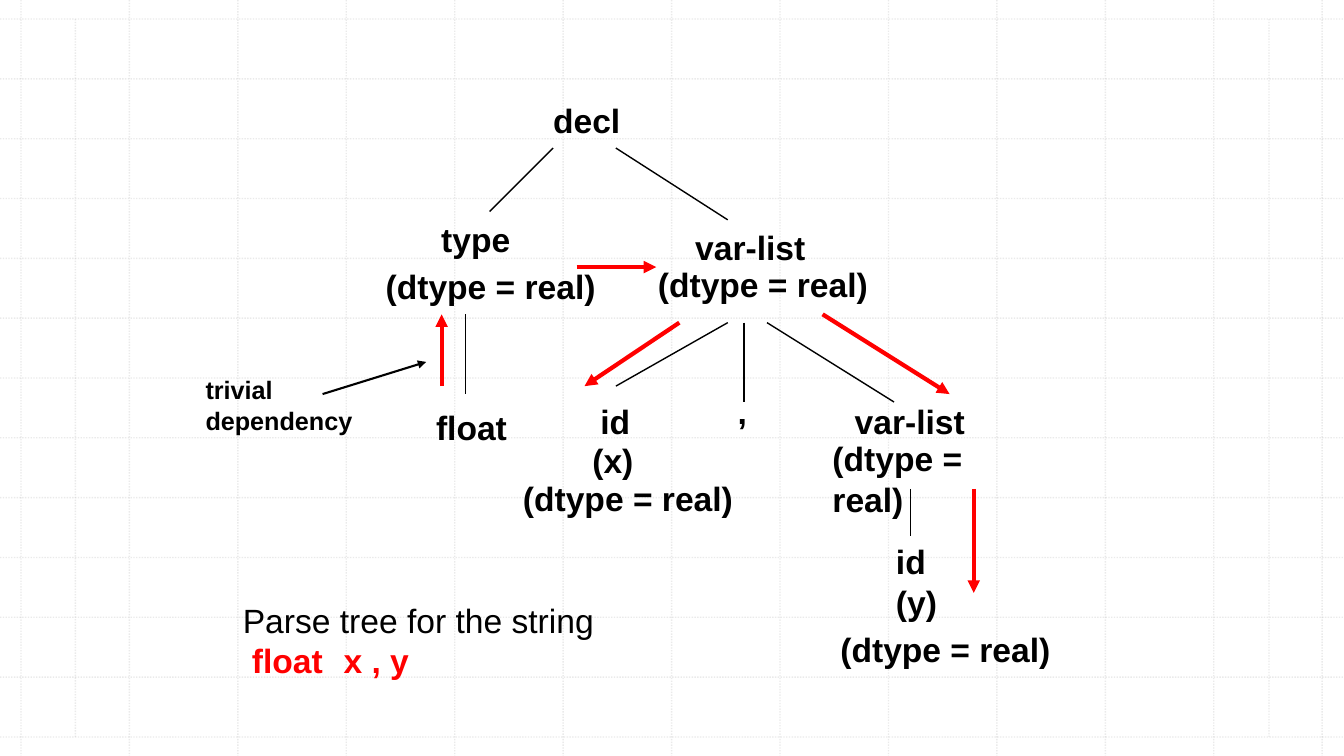
import pptx
import pptx.dml.color
import pptx.enum.dml
import pptx.enum.shapes
import pptx.enum.text
import pptx.oxml
import pptx.oxml.ns
import pptx.util
from pptx.util import Cm

BLACK = pptx.dml.color.RGBColor(0x00, 0x00, 0x00)
RED = pptx.dml.color.RGBColor(0xFF, 0x00, 0x00)
GRID_GREY = pptx.dml.color.RGBColor(0xBC, 0xBC, 0xBC)

NODE = {"name": "Arial", "size": pptx.util.Pt(24), "bold": True}
CAPTION = {**NODE, "bold": False}
NOTE = {**NODE, "size": pptx.util.Pt(18)}

DTYPE = "(dtype = real)"
DTYPE_WIDTH = 6
LINE_HEIGHT = 1.27
GRID_GAPS = 12

NODES = [
    ("decl", 4.22, 0, 2.21),
    ("type", 1.4, 3, 2.26),
    (DTYPE, 0, 4.19, DTYPE_WIDTH),
    ("float", 1.27, 7.74, 2.29),
    ("var-list", 7.8, 3.2, 3.3),
    (DTYPE, 6.86, 4.14, DTYPE_WIDTH),
    ("id", 5.41, 7.59, 1.27),
    ("(x)", 5.21, 8.58, 1.55),
    (DTYPE, 3.46, 9.52, DTYPE_WIDTH),
    (",", 8.87, 7.34, 0.74),
    ("var-list", 11.82, 7.59, 3.3),
    ("id", 12.86, 11.12, 1.27),
    ("(y)", 12.86, 12.14, 1.55),
    (DTYPE, 11.46, 13.33, DTYPE_WIDTH),
]
BRANCHES = [
    (4.47, 1.34, 2.87, 2.94),
    (6.05, 1.34, 8.87, 3.15),
    (2.26, 5.53, 2.26, 7.54),
    (8.87, 5.74, 6.05, 7.34),
    (9.28, 5.74, 9.28, 7.74),
    (9.86, 5.74, 13.06, 7.74),
    (13.47, 9.93, 13.47, 11.12),
]
DEPENDENCIES = [
    (5.06, 4.34, 7.07, 4.34),
    (7.65, 5.74, 5.26, 7.34),
    (11.26, 5.53, 14.46, 7.54),
    (15.07, 9.93, 15.07, 12.55),
    (1.66, 7.34, 1.66, 5.53),
]


def add_child(parent, tag, **attributes):
    """Append a drawing element with the given attributes."""
    child = pptx.oxml.parse_xml(f"<a:{tag} {pptx.oxml.ns.nsdecls('a')}/>")
    for name, value in attributes.items():
        child.set(name, str(value))
    parent.append(child)
    return child


def add_line(slide, box, ends, color, width, arrow=False):
    """Draw a line, its ends in centimetres from the corner of the box."""
    left, top = box[:2]
    x1, y1, x2, y2 = ends
    line = slide.shapes.add_connector(
        pptx.enum.shapes.MSO_CONNECTOR.STRAIGHT,
        Cm(left + x1), Cm(top + y1), Cm(left + x2), Cm(top + y2))
    line.line.color.rgb = color
    line.line.width = pptx.util.Pt(width)
    if arrow:
        add_child(line.line._get_or_add_ln(), "tailEnd", type="triangle")
    add_child(line._element.spPr, "effectLst")
    return line


def add_text(slide, box, lines, font, wrap=False):
    """Write one paragraph per line in a text box and return its frame."""
    frame = slide.shapes.add_textbox(*map(Cm, box)).text_frame
    frame.word_wrap = wrap
    frame.auto_size = pptx.enum.text.MSO_AUTO_SIZE.SHAPE_TO_FIT_TEXT
    for number, text in enumerate(lines):
        para = frame.add_paragraph() if number else frame.paragraphs[0]
        span = para.add_run()
        span.text = text
        for name, value in font.items():
            setattr(span.font, name, value)
        span.font.color.rgb = BLACK
    return frame


def draw_grid(slide, box):
    """Cover the box with a faint dotted grid and two side margins."""
    width, height = box[2:]
    first, top, right, bottom = 0.53, 0.48, 33.32, 18.57
    columns = [first + i * (right - first) / GRID_GAPS for i in range(GRID_GAPS + 1)]
    rows = [top + i * (bottom - top) / GRID_GAPS for i in range(GRID_GAPS + 1)]
    ends = [(x, 0, x, height) for x in columns]
    ends += [(0, y, width, y) for y in rows]
    ends += [(x, top, x, bottom) for x in (1.9, 31.98)]
    for line_ends in ends:
        line = add_line(slide, box, line_ends, GRID_GREY, 1)
        line.line.dash_style = pptx.enum.dml.MSO_LINE.ROUND_DOT
        color = line._element.spPr.find(".//" + pptx.oxml.ns.qn("a:srgbClr"))
        add_child(color, "alpha", val=30000)


def draw_tree(slide, box):
    """Draw the parse tree with its branches and dependency arrows."""
    left, top = box[:2]
    for text, x, y, width in NODES:
        add_text(slide, (left + x, top + y, width, LINE_HEIGHT), [text], NODE)
    add_text(slide, (left + 11.26, top + 8.53, 5.66, 2.31), [DTYPE], NODE, wrap=True)
    for ends in BRANCHES:
        add_line(slide, box, ends, BLACK, 1)
    for ends in DEPENDENCIES:
        add_line(slide, box, ends, RED, 3, arrow=True)


def draw_caption(slide, box):
    """Name the parsed string below the tree."""
    lines = ["Parse tree for the string", "float\tx , y"]
    para = add_text(slide, box, lines, CAPTION).paragraphs[1]
    properties = para._p.get_or_add_pPr()
    properties.set("marL", "0")
    properties.set("indent", str(Cm(0.23)))
    add_child(add_child(properties, "tabLst"), "tab", pos=Cm(2.9), algn="l")
    for span in para.runs:
        span.font.bold = True
        span.font.color.rgb = RED


def draw_note(slide, box):
    """Label the trivial dependency and point at its arrow."""
    add_text(slide, box, ["trivial", "dependency"], NOTE)
    add_line(slide, box, (3.2, 0.61, 5.81, -0.2), BLACK, 1.5, arrow=True)


def main():
    """Build the slide and save the deck."""
    deck = pptx.Presentation()
    deck.slide_width, deck.slide_height = Cm(33.87), Cm(19.05)
    page = deck.slides.add_slide(deck.slide_layouts[6])
    draw_grid(page, (0, 0, 33.87, 19.05))
    draw_tree(page, (9.47, 2.39, 17.46, 14.6))
    draw_caption(page, (5.87, 14.99, 9.45, 2.31))
    draw_note(page, (4.93, 9.32, 4.22, 1.78))
    deck.save("out.pptx")


if __name__ == "__main__":
    main()
